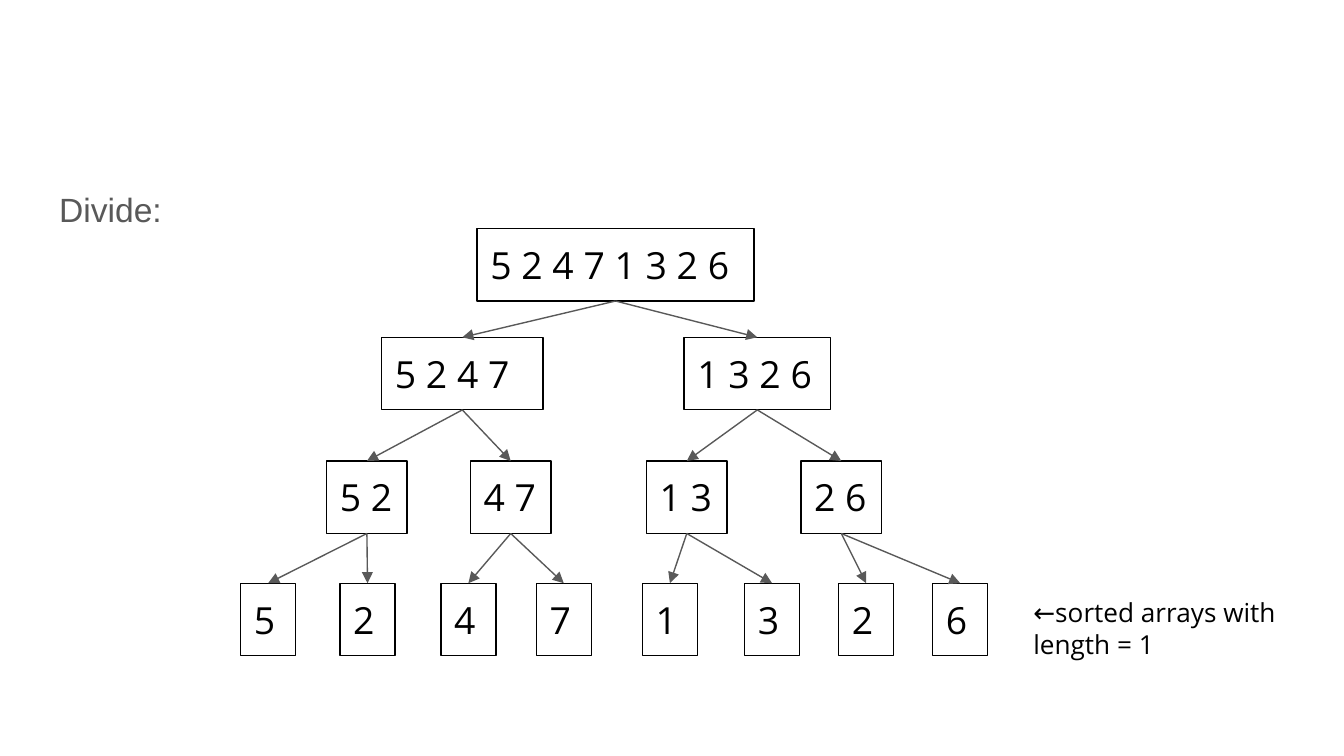
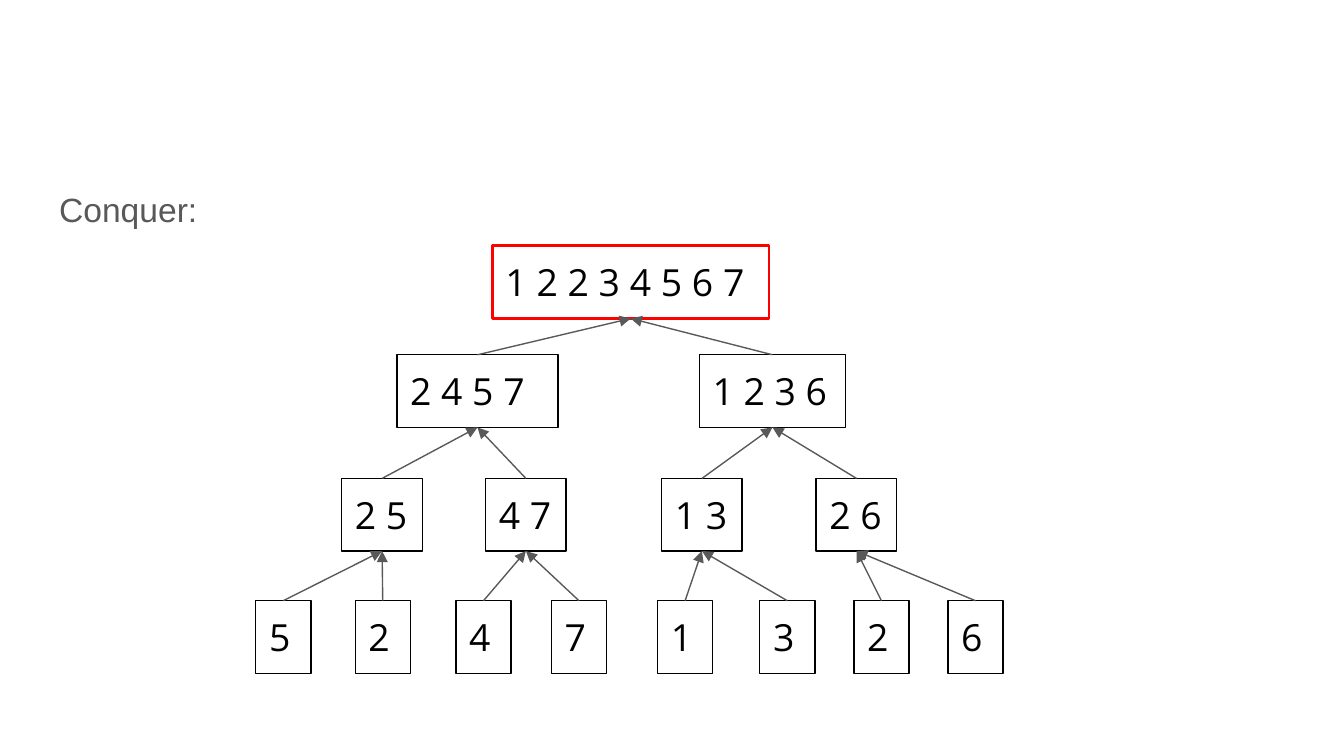
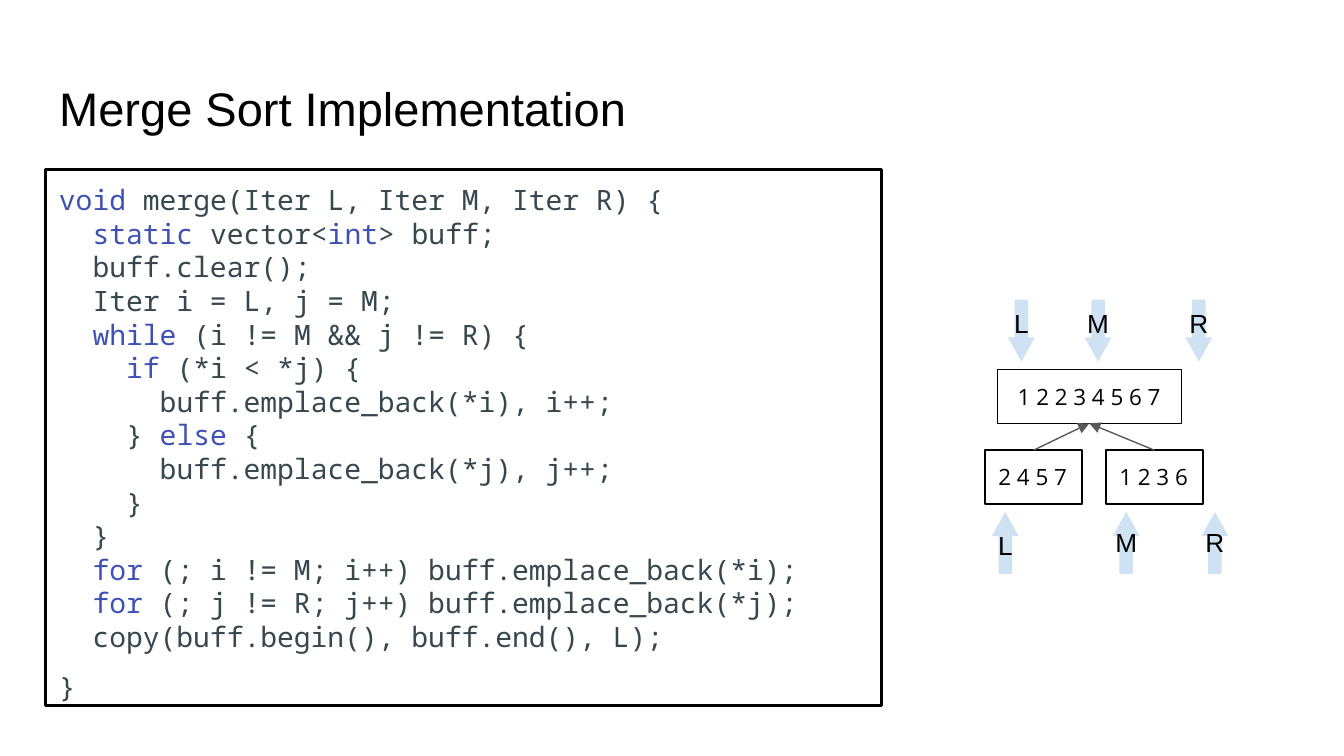
from dataclasses import dataclass

from lxml import etree
from pptx import Presentation
from pptx.dml.color import RGBColor
from pptx.enum.shapes import MSO_CONNECTOR, MSO_SHAPE
from pptx.enum.text import MSO_ANCHOR, MSO_AUTO_SIZE, PP_ALIGN
from pptx.oxml.ns import qn
from pptx.util import Inches, Pt

RECTANGLE, UP_ARROW = MSO_SHAPE.RECTANGLE, MSO_SHAPE.UP_ARROW
STRAIGHT = MSO_CONNECTOR.STRAIGHT
TOP = MSO_ANCHOR.TOP
LEFT, CENTER = PP_ALIGN.LEFT, PP_ALIGN.CENTER
GROW, FIXED = MSO_AUTO_SIZE.SHAPE_TO_FIT_TEXT, MSO_AUTO_SIZE.NONE
TOP_SITE, BOTTOM_SITE = 0, 2
TITLE_AND_BODY, TITLE_ONLY = 1, 5

# The slide is a grid of square cells, 100 columns by 56.25 rows
COLUMNS, ROWS = 100, 56.25


@dataclass(frozen=True)
class Theme:
    text: str = "000000"
    muted: str = "595959"
    result: str = "FF0000"
    pointer: str = "CFE2F3"
    keyword: str = "3F51B5"
    code: str = "37474F"
    sans: str = "Arial"
    digits: str = "Open Sans"
    mono: str = "Noto Sans Mono"
    title_size: float = 25.2
    body_size: float = 18
    array_size: float = 20
    small_array_size: float = 12
    label_size: float = 14
    code_size: float = 15
    thin: float = 0.75
    thick: float = 1.5


THEME = Theme()


@dataclass(frozen=True)
class Box:
    left: float
    top: float
    width: float
    height: float

    def shifted(self, right: float, down: float) -> "Box":
        return Box(self.left + right, self.top + down, self.width, self.height)

    def lengths(self) -> list:
        return [cells(n) for n in (self.left, self.top, self.width, self.height)]


@dataclass(frozen=True)
class Level:
    top: float
    height: float
    lefts: tuple
    widths: tuple

    def boxes(self) -> list:
        return [Box(left, self.top, width, self.height)
                for left, width in zip(self.lefts, self.widths)]


@dataclass(frozen=True)
class Pointer:
    name: str
    left: float
    top: float
    label_top: float
    rotation: int


TITLE_BOX = Box(3.4, 4.9, 93.2, 6.3)
BODY_BOX = Box(3.4, 12.6, 93.2, 37.4)
CODE_BOX = Box(3.4, 12.6, 62.2, 39.9)
NOTE_BOX = Box(75.9, 43.4, 20.6, 6.7)

# Trees list their boxes level by level, so box i hangs from box (i - 1) // 2
SORT_LEVELS = (
    Level(17, 5.4, (35.5,), (20.6,)),
    Level(25.1, 5.4, (28.4, 50.9), (12, 10.9)),
    Level(34.3, 5.4, (24.3, 35, 48.1, 59.6), (6,) * 4),
    Level(43.4, 5.4, (17.9, 25.3, 32.8, 39.9, 47.8, 55.4, 62.4, 69.4), (4.1,) * 8),
)
MERGE_LEVELS = (
    Level(27.5, 4, (74.2,), (13.7,)),
    Level(33.5, 4, (73.3, 82.3), (7.2, 7.2)),
)
CONQUER_SHIFT = (1.13, 1.3)

SINGLES = ["5", "2", "4", "7", "1", "3", "2", "6"]
DIVIDED = ["5 2 4 7 1 3 2 6", "5 2 4 7", "1 3 2 6", "5 2", "4 7", "1 3", "2 6", *SINGLES]
MERGED = ["1 2 2 3 4 5 6 7", "2 4 5 7", "1 2 3 6"]
CONQUERED = [*MERGED, "2 5", "4 7", "1 3", "2 6", *SINGLES]

POINTERS = (
    Pointer("L", 73.8, 38.1, 38.4, 0),
    Pointer("M", 82.8, 38.1, 38.2, 0),
    Pointer("R", 89.4, 38.1, 38.2, 0),
    Pointer("L", 75, 22.3, 21.9, 180),
    Pointer("M", 80.7, 22.3, 21.9, 180),
    Pointer("R", 88.2, 22.3, 21.9, 180),
)

# Keywords stand between backticks
MERGE_CODE = """\
`void` merge(Iter L, Iter M, Iter R) {
  `static` vector<`int`> buff;
  buff.clear();
  Iter i = L, j = M;
  `while` (i != M && j != R) {
    `if` (*i < *j) {
      buff.emplace_back(*i), i++;
    } `else` {
      buff.emplace_back(*j), j++;
    }
  }
  `for` (; i != M; i++) buff.emplace_back(*i);
  `for` (; j != R; j++) buff.emplace_back(*j);
  copy(buff.begin(), buff.end(), L);
}"""
CODE_SPACE = 0.125  # width of one monospaced character, in inches


def cells(count: float) -> int:
    return Inches(round(count * 10 / COLUMNS, 3))


def set_font(font, name: str, size: float, color: str) -> None:
    font.name, font.size = name, Pt(size)
    font.color.rgb = RGBColor.from_string(color)


def prepare_frame(frame, auto_size) -> None:
    frame.word_wrap = True
    frame.auto_size = auto_size
    frame.vertical_anchor = TOP
    frame.margin_left = frame.margin_right = cells(1)
    frame.margin_top = frame.margin_bottom = cells(1)


def write(shape, text: str, font: str, size: float, color: str,
          align=LEFT, auto_size=GROW):
    frame = shape.text_frame
    prepare_frame(frame, auto_size)
    frame.text = text
    paragraph = frame.paragraphs[0]
    paragraph.alignment = align
    set_font(paragraph.font, font, size, color)
    return paragraph


def place(shape, box: Box) -> None:
    shape.left, shape.top, shape.width, shape.height = box.lengths()


def add_outline(shapes, box: Box, color: str, weight: float):
    outline = shapes.add_shape(RECTANGLE, *box.lengths())
    outline.shadow.inherit = False
    outline.fill.background()
    outline.line.color.rgb = RGBColor.from_string(color)
    outline.line.width = Pt(weight)
    return outline


def add_branch(shapes, parent, child, arrow_end: str) -> None:
    branch = shapes.add_connector(
        STRAIGHT, parent.left + parent.width // 2, parent.top + parent.height,
        child.left + child.width // 2, child.top)
    branch.begin_connect(parent, BOTTOM_SITE)
    branch.end_connect(child, TOP_SITE)
    branch.line.color.rgb = RGBColor.from_string(THEME.muted)
    branch.line.width = Pt(THEME.thin)
    etree.SubElement(branch.line._get_or_add_ln(), qn(f"a:{arrow_end}"), type="triangle")
    etree.SubElement(branch._element.spPr, qn("a:effectLst"))


def add_tree(shapes, levels: tuple, arrays: list, size: float, arrow_end: str,
             shift: tuple = (0, 0), root_color: str = THEME.text,
             root_weight: float = THEME.thin, root_align=LEFT) -> None:
    boxes = [box.shifted(*shift) for level in levels for box in level.boxes()]
    nodes = []
    for index, (box, array) in enumerate(zip(boxes, arrays)):
        color, weight, align = ((THEME.text, THEME.thin, LEFT) if index
                                else (root_color, root_weight, root_align))
        node = add_outline(shapes, box, color, weight)
        write(node, array, THEME.digits, size, THEME.text, align)
        nodes.append(node)
    for index, child in enumerate(nodes[1:], start=1):
        add_branch(shapes, nodes[(index - 1) // 2], child, arrow_end)


def add_step_slide(deck, heading: str):
    slide = deck.slides.add_slide(deck.slide_layouts[TITLE_AND_BODY])
    title, body = slide.placeholders
    title._element.getparent().remove(title._element)
    place(body, BODY_BOX)
    paragraph = write(body, heading, THEME.sans, THEME.body_size, THEME.muted,
                      auto_size=FIXED)
    paragraph.line_spacing = 1.15
    paragraph.space_before, paragraph.space_after = Pt(0), Pt(12)
    properties = paragraph._p.get_or_add_pPr()
    properties.set("marL", "0")
    properties.set("indent", "0")
    no_bullet = etree.Element(qn("a:buNone"))
    properties.find(qn("a:defRPr")).addprevious(no_bullet)
    return slide


def add_code(shapes) -> None:
    frame = add_outline(shapes, CODE_BOX, THEME.text, THEME.thick).text_frame
    prepare_frame(frame, GROW)
    for number, line in enumerate(MERGE_CODE.splitlines()):
        paragraph = frame.add_paragraph() if number else frame.paragraphs[0]
        paragraph.alignment = LEFT
        code = line.lstrip()
        properties = paragraph._p.get_or_add_pPr()
        properties.set("marL", str(Inches((len(line) - len(code)) * CODE_SPACE)))
        properties.set("indent", "0")
        set_font(paragraph.font, THEME.mono, THEME.code_size, THEME.code)
        for part, words in enumerate(code.split("`")):
            if words:
                run = paragraph.add_run()
                run.text = words
                if part % 2:
                    run.font.color.rgb = RGBColor.from_string(THEME.keyword)
    frame.paragraphs[-1].line_spacing = 1.5


def add_pointer(shapes, pointer: Pointer) -> None:
    arrow = shapes.add_shape(UP_ARROW, *Box(pointer.left, pointer.top, 2, 4.6).lengths())
    arrow.adjustments[0], arrow.adjustments[1] = 0.5, 0.9
    arrow.rotation = pointer.rotation
    arrow.shadow.inherit = False
    arrow.fill.solid()
    arrow.fill.fore_color.rgb = RGBColor.from_string(THEME.pointer)
    arrow.line.fill.background()
    label = shapes.add_textbox(*Box(pointer.left - 2, pointer.label_top, 6, 4.4).lengths())
    write(label, pointer.name, THEME.sans, THEME.label_size, THEME.text, CENTER)


def build_divide(deck) -> None:
    shapes = add_step_slide(deck, "Divide:").shapes
    add_tree(shapes, SORT_LEVELS, DIVIDED, THEME.array_size, "tailEnd")
    note = shapes.add_textbox(*NOTE_BOX.lengths())
    write(note, "←sorted arrays with length = 1", THEME.digits, THEME.label_size, THEME.text)


def build_conquer(deck) -> None:
    shapes = add_step_slide(deck, "Conquer:").shapes
    add_tree(shapes, SORT_LEVELS, CONQUERED, THEME.array_size, "headEnd",
             CONQUER_SHIFT, THEME.result, THEME.thick)


def build_implementation(deck) -> None:
    shapes = deck.slides.add_slide(deck.slide_layouts[TITLE_ONLY]).shapes
    place(shapes.title, TITLE_BOX)
    write(shapes.title, "Merge Sort Implementation", THEME.sans, THEME.title_size,
          THEME.text, auto_size=FIXED)
    add_code(shapes)
    add_tree(shapes.add_group_shape().shapes, MERGE_LEVELS, MERGED,
             THEME.small_array_size, "headEnd", root_align=CENTER)
    for pointer in POINTERS:
        add_pointer(shapes, pointer)


def main() -> None:
    deck = Presentation()
    deck.slide_width, deck.slide_height = cells(COLUMNS), cells(ROWS)
    build_divide(deck)
    build_conquer(deck)
    build_implementation(deck)
    deck.save("out.pptx")


if __name__ == "__main__":
    main()
